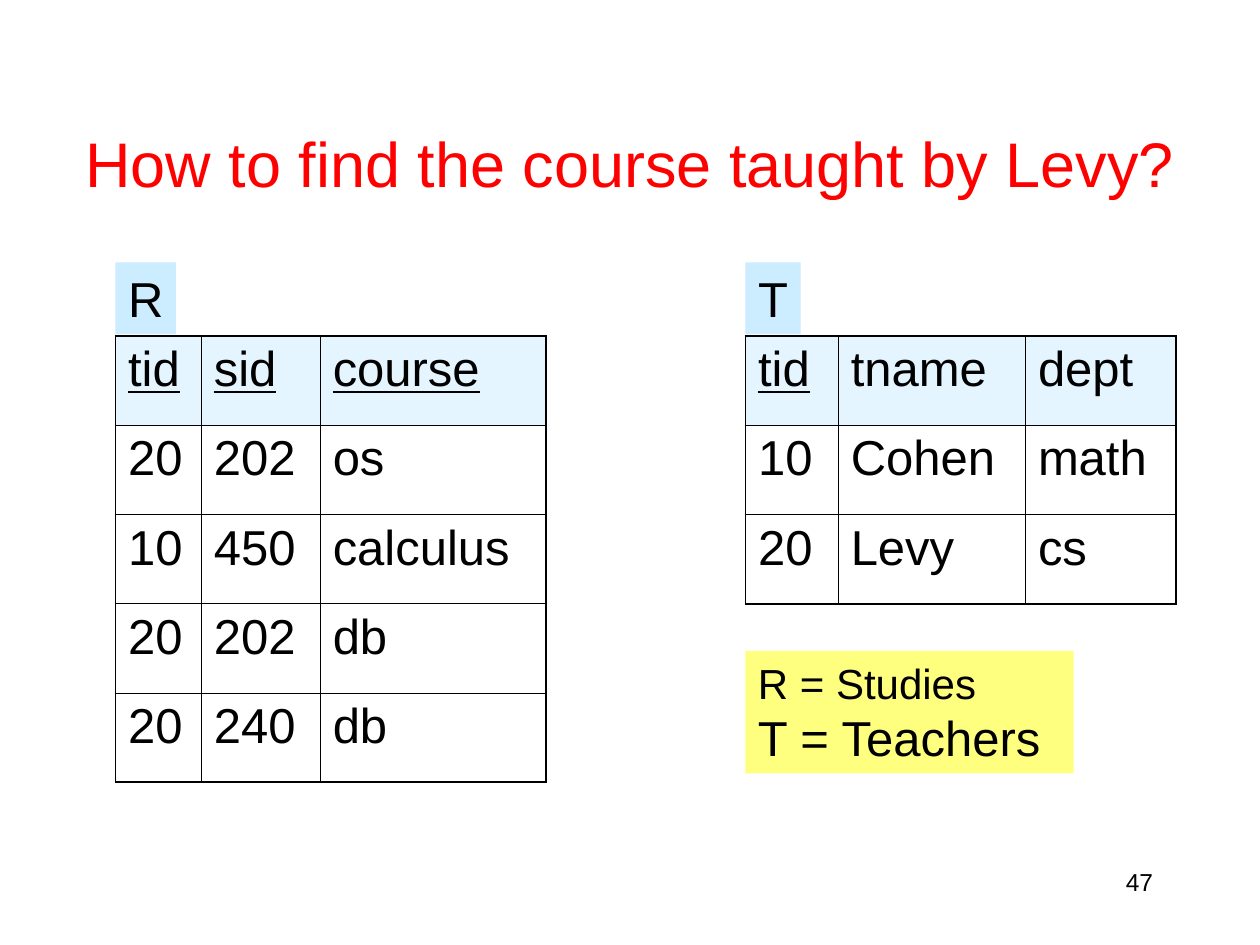
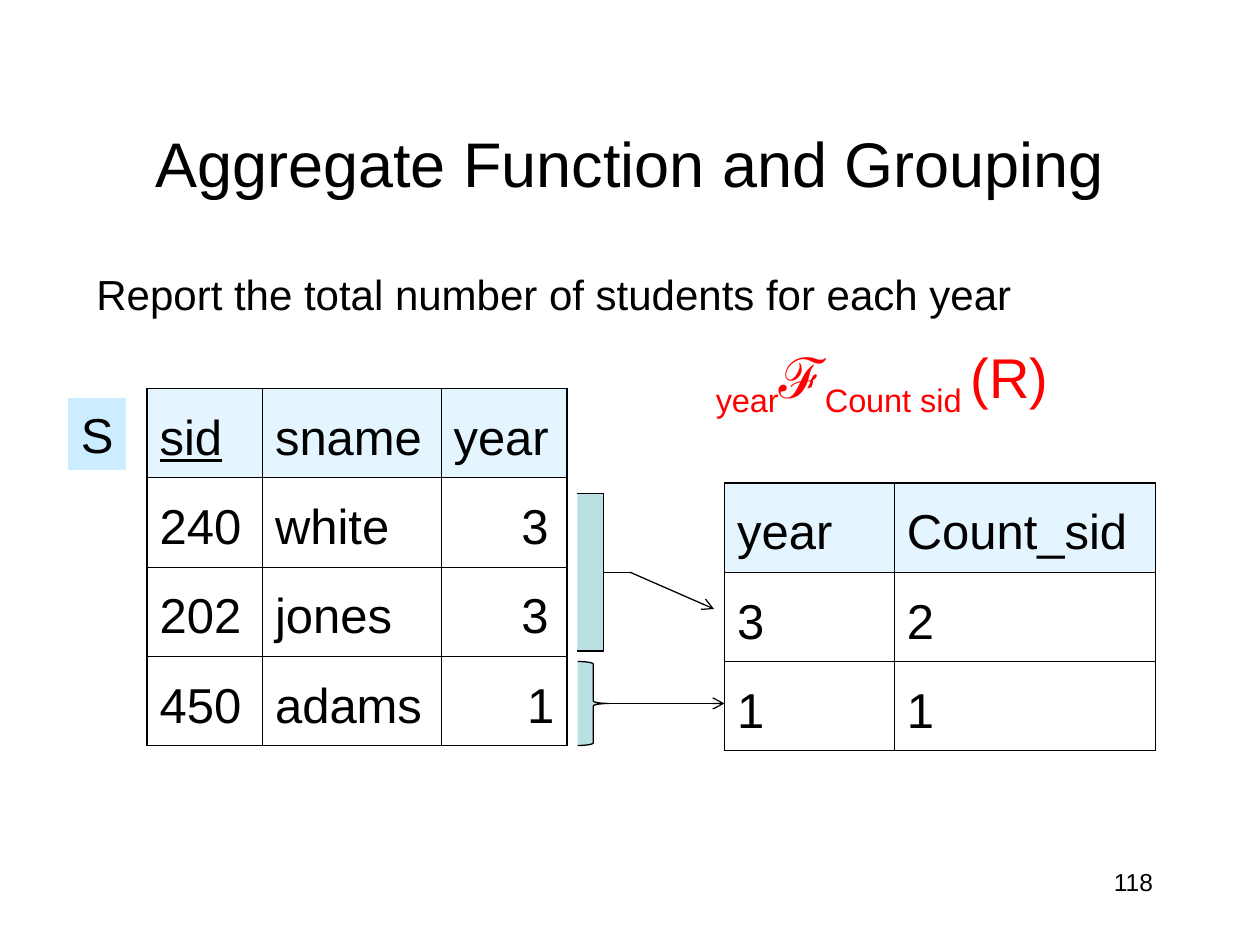
from dataclasses import dataclass
from lxml.etree import SubElement
from pptx import Presentation
from pptx.dml.color import RGBColor
from pptx.enum.shapes import MSO_CONNECTOR, MSO_SHAPE
from pptx.enum.text import MSO_ANCHOR, PP_ALIGN
from pptx.oxml.ns import qn
from pptx.util import Pt


@dataclass(frozen=True)
class Theme:
    font: str = "Arial"
    ink: str = "000000"
    red: str = "FF0000"
    sky: str = "CCECFF"
    sun: str = "FFFF00"
    teal: str = "BBE0E3"
    title: int = 36
    form: int = 32
    cell: int = 28
    body: int = 24
    page: int = 14
    thick: float = 1.08
    thin: float = 0.45
    line: float = 0.75


look = Theme()


def write(par, text, size, color=look.ink):
    """Add one run to a paragraph."""
    run = par.add_run()
    run.text = text
    run.font.name = look.font
    run.font.size = Pt(size)
    run.font.color.rgb = RGBColor.from_string(color)
    return run


def box(slide, place, fill=None):
    """Add a text box and return its frame."""
    shape = slide.shapes.add_textbox(*map(Pt, place))
    shape.text_frame.word_wrap = True
    if fill:
        shape.fill.solid()
        shape.fill.fore_color.rgb = RGBColor.from_string(fill)
    return shape.text_frame


deck = Presentation()
deck.slide_width, deck.slide_height = Pt(720), Pt(540)

# Titles and page numbers
heads = [
    ("How to find the course taught by Levy?", look.red, 18, "47"),
    ("Aggregate Function and Grouping", look.ink, 54, "118"),
]
slides = []
for text, color, left, page in heads:
    slide = deck.slides.add_slide(deck.slide_layouts[5])
    title = slide.shapes.title
    title.left, title.top = Pt(left), Pt(48)
    title.width, title.height = Pt(720 - 2 * left), Pt(90)
    title.text_frame.vertical_anchor = MSO_ANCHOR.MIDDLE
    par = title.text_frame.paragraphs[0]
    par.alignment = PP_ALIGN.CENTER
    write(par, text, look.title, color)
    par = box(slide, (516, 492, 150, 36)).paragraphs[0]
    par.alignment = PP_ALIGN.RIGHT
    write(par, page, look.page)
    slides.append(slide)
join, group = slides

# Tables: slide, left, top, widths, key columns, line pitch, thick sides, rows
tables = [
    (join, 66, 192, (49, 68, 129), 3, 1, "LRTB",
     [("tid", "sid", "course"), ("20", "202", "os"), ("10", "450", "calculus"),
      ("20", "202", "db"), ("20", "240", "db")]),
    (join, 426, 192, (53, 107, 86), 1, 1, "LRTB",
     [("tid", "tname", "dept"), ("10", "Cohen", "math"), ("20", "Levy", "cs")]),
    (group, 84, 222, (66, 102, 72), 1, 1.3, "LRTB",
     [("sid", "sname", "year"), ("240", "white", "3"), ("202", "jones", "3"),
      ("450", "adams", "1")]),
    (group, 414, 276, (97, 149), 0, 1.3, "LT",
     [("year", "Count_sid"), ("3", "2"), ("1", "1")]),
]
grids = []
for slide, left, top, widths, keys, pitch, bold, rows in tables:
    high, wide = len(rows), len(widths)
    grid = slide.shapes.add_table(high, wide, Pt(left), Pt(top),
                                  Pt(sum(widths)), Pt(51 * high)).table
    grid.first_row = grid.horz_banding = False
    for col, width in zip(grid.columns, widths):
        col.width = Pt(width)
    for y, row in enumerate(rows):
        grid.rows[y].height = Pt(51)
        for x, text in enumerate(row):
            cell = grid.cell(y, x)
            par = cell.text_frame.paragraphs[0]
            par.line_spacing = pitch
            run = write(par, text, look.cell)
            if y == 0 and x < keys:
                run.font.underline = True

            # Cell borders, heavier on the outer edge
            prop = cell._tc.get_or_add_tcPr()
            outer = {"L": x == 0, "R": x == wide - 1, "T": y == 0, "B": y == high - 1}
            for side, edge in outer.items():
                width = look.thick if edge and side in bold else look.thin
                rule = SubElement(prop, qn(f"a:ln{side}"), w=str(Pt(width)))
                paint = SubElement(rule, qn("a:solidFill"))
                SubElement(paint, qn("a:srgbClr"), val=look.ink)

            # Half clear header fill
            if y == 0:
                cell.fill.solid()
                cell.fill.fore_color.rgb = RGBColor.from_string(look.sky)
                tint = prop.find(f"{qn('a:solidFill')}/{qn('a:srgbClr')}")
                SubElement(tint, qn("a:alpha"), val="50000")
            else:
                cell.fill.background()
    grids.append(grid)

# Year values sit to the right in their column
years = grids[2]
for y in (1, 2):
    years.cell(y, 2).margin_left = Pt(46)
years.cell(3, 2).text_frame.paragraphs[0].alignment = PP_ALIGN.RIGHT

# Table names
names = [
    (join, "R", (66, 150, 34.5, 41)),
    (join, "T", (426, 150, 31.5, 41)),
    (group, "S", (39, 227.5, 33, 41)),
]
for slide, text, place in names:
    par = box(slide, place, look.sky).paragraphs[0]
    par.alignment = PP_ALIGN.CENTER
    write(par, text, look.cell)

# Key to the table names
note = box(join, (426, 372, 187.5, 70), look.sun)
for tint in join.shapes[-1].element.spPr.iter(qn("a:srgbClr")):
    SubElement(tint, qn("a:alpha"), val="50000")
write(note.paragraphs[0], "R = Studies", look.body)
write(note.add_paragraph(), "T = Teachers", look.cell)

# Task and formula
task = box(group, (48, 150, 636, 36))
write(task.paragraphs[0], "Report the total number of students for each year", look.body)
form = box(group, (402, 192, 294, 89)).paragraphs[0]
for text, low in [("year", True), ("ℱ", False), ("Count sid ", True), ("(R)", False)]:
    run = write(form, text, look.form, look.red)
    if low:
        run.font._element.set("baseline", "-25000")

# Braces around each year group
for place, curve in [((330, 282, 30, 90), 0), ((330, 378, 18, 48), 0.08)]:
    brace = group.shapes.add_shape(MSO_SHAPE.RIGHT_BRACE, *map(Pt, place))
    brace.adjustments[0] = curve
    brace.shadow.inherit = False
    brace.fill.solid()
    brace.fill.fore_color.rgb = RGBColor.from_string(look.teal)
    brace.line.color.rgb = RGBColor.from_string(look.ink)
    brace.line.width = Pt(look.line)

# Arrows from groups to counts
for ends in [(360, 327, 408, 348), (348, 402, 414, 402)]:
    arrow = group.shapes.add_connector(MSO_CONNECTOR.STRAIGHT, *map(Pt, ends))
    arrow.line.color.rgb = RGBColor.from_string(look.ink)
    arrow.line.width = Pt(look.line)
    SubElement(arrow.line._get_or_add_ln(), qn("a:tailEnd"), type="arrow")
    SubElement(arrow.element.spPr, qn("a:effectLst"))

deck.save("out.pptx")
